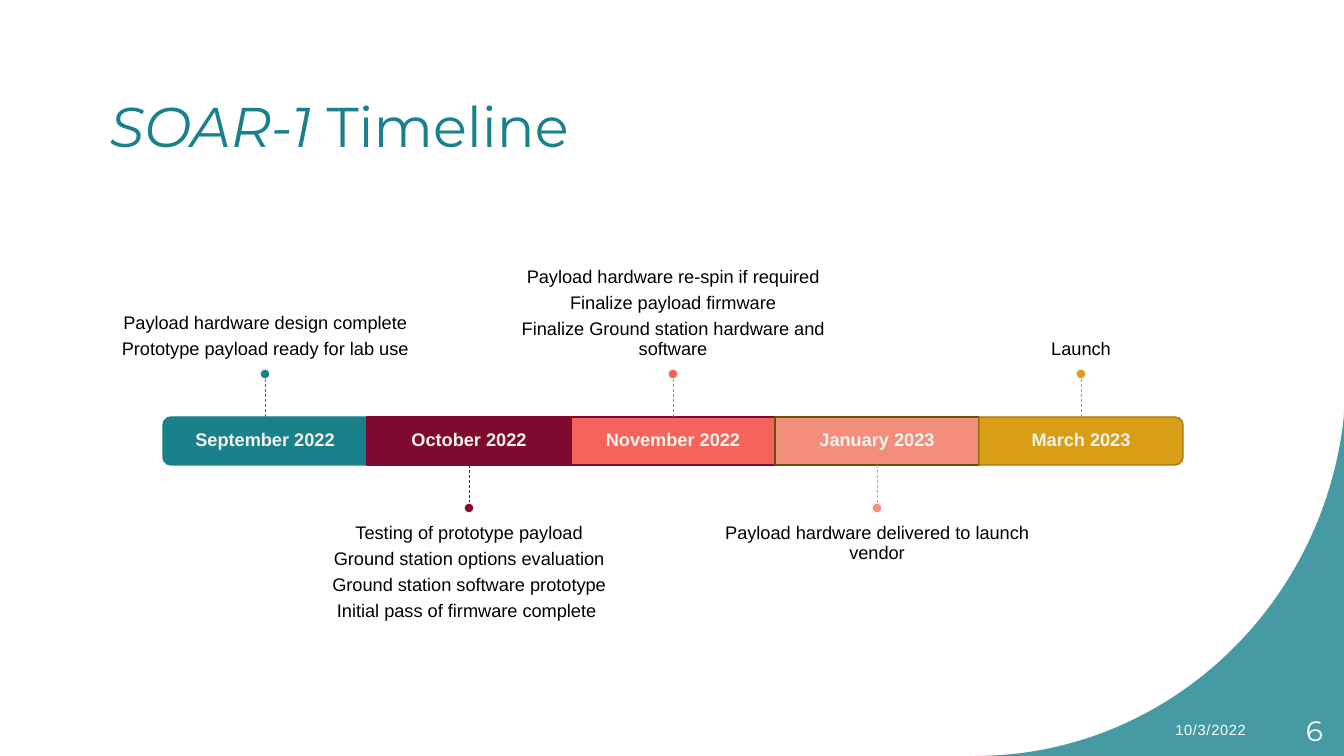
from dataclasses import dataclass

from lxml import etree
from pptx import Presentation
from pptx.dml.color import RGBColor
from pptx.enum.dml import MSO_LINE
from pptx.enum.shapes import MSO_CONNECTOR, MSO_SHAPE
from pptx.enum.text import MSO_ANCHOR, PP_ALIGN
from pptx.oxml.ns import qn
from pptx.util import Pt

EMU_PER_PX = 914400 / 100.8
SLIDE_W, SLIDE_H = 1344, 756

RECT, ROUNDED, DOT = MSO_SHAPE.RECTANGLE, MSO_SHAPE.ROUND_2_SAME_RECTANGLE, MSO_SHAPE.OVAL
STRAIGHT, DASH = MSO_CONNECTOR.STRAIGHT, MSO_LINE.DASH
TOP, MIDDLE, BOTTOM = MSO_ANCHOR.TOP, MSO_ANCHOR.MIDDLE, MSO_ANCHOR.BOTTOM
LEFT, CENTER, RIGHT = PP_ALIGN.LEFT, PP_ALIGN.CENTER, PP_ALIGN.RIGHT

TEAL = RGBColor(0x18, 0x81, 0x8C)
WINE = RGBColor(0x80, 0x0A, 0x2F)
CORAL = RGBColor(0xF6, 0x63, 0x5C)
SALMON = RGBColor(0xF4, 0x8E, 0x7C)
GOLD = RGBColor(0xDA, 0x9D, 0x16)
BROWN = RGBColor(0x6D, 0x4E, 0x0B)
DARK_GOLD = RGBColor(0xA3, 0x76, 0x10)
CREAM = RGBColor(0xF4, 0xF2, 0xEC)
BLACK = RGBColor(0, 0, 0)
WHITE = RGBColor(255, 255, 255)

BAR_LEFT, BAR_TOP, BAR_H, STEP = 163, 417, 48, 204
STEM, DOT_SIZE = 38, 10
NOTE_W, NOTE_H, INSET = 340, 168, 11


@dataclass
class Box:
    x: int
    y: int
    w: int
    h: int


@dataclass
class Style:
    size: float
    color: RGBColor
    font: str = "Arial"
    bold: bool = False
    italic: bool = False


@dataclass
class Milestone:
    month: str
    notes: list[str]
    fill: RGBColor
    outline: RGBColor
    rotation: int = 0


LABEL = Style(13, CREAM, bold=True)
NOTE = Style(13, BLACK)

MILESTONES = [
    Milestone("September 2022", ["Payload hardware design complete",
                                 "Prototype payload ready for lab use"], TEAL, TEAL, 270),
    Milestone("October 2022", ["Testing of prototype payload",
                               "Ground station options evaluation",
                               "Ground station software prototype",
                               "Initial pass of firmware complete "], WINE, WINE),
    Milestone("November 2022", ["Payload hardware re-spin if required",
                                "Finalize payload firmware",
                                "Finalize Ground station hardware and software"], CORAL, WINE),
    Milestone("January 2023", ["Payload hardware delivered to launch vendor"], SALMON, BROWN),
    Milestone("March 2023", ["Launch"], GOLD, DARK_GOLD, 90),
]


def px(n: float) -> int:
    return round(n * EMU_PER_PX)


def place(box: Box) -> tuple[int, int, int, int]:
    return px(box.x), px(box.y), px(box.w), px(box.h)


def add_run(p, text: str, style: Style):
    r = p.add_run()
    r.text = text
    f = r.font
    f.size, f.name = Pt(style.size), style.font
    f.bold, f.italic = style.bold, style.italic
    f.color.rgb = style.color
    return r


def add_frame(s, box: Box, anchor, margins=(10, 5, 10, 5)):
    """Add an empty wrapping text box; margins run left, top, right, bottom."""
    tf = s.shapes.add_textbox(*place(box)).text_frame
    tf.word_wrap = True
    tf.vertical_anchor = anchor
    tf.margin_left, tf.margin_top, tf.margin_right, tf.margin_bottom = map(px, margins)
    return tf


def add_lines(s, box: Box, lines: list[str], style: Style, anchor, margins) -> None:
    tf = add_frame(s, box, anchor, margins)
    for i, line in enumerate(lines):
        p = tf.add_paragraph() if i else tf.paragraphs[0]
        p.alignment = CENTER
        p.line_spacing = 0.9
        p.space_after = Pt(4.5)
        add_run(p, line, style)


def add_filled(s, kind, box: Box, fill: RGBColor, outline: RGBColor):
    sp = s.shapes.add_shape(kind, *place(box))
    sp.shadow.inherit = False
    sp.fill.solid()
    sp.fill.fore_color.rgb = fill
    sp.line.color.rgb = outline
    sp.line.width = Pt(1)
    return sp


def add_stem(s, x: int, y1: int, y2: int, color: RGBColor) -> None:
    line = s.shapes.add_connector(STRAIGHT, px(x), px(y1), px(x), px(y2))
    line.line.color.rgb = color
    line.line.width = Pt(0.5)
    line.line.dash_style = DASH
    etree.SubElement(line._element.spPr, qn("a:effectLst"))


def add_corner(s) -> None:
    """Fill the lower right corner below a Bezier curve, 80 % opaque."""
    curve = [(975, 756), (1166, 756), (1324, 607), (1344, 416)]
    steps = 60
    points = []
    for i in range(1, steps + 1):
        t = i / steps
        weights = ((1 - t) ** 3, 3 * t * (1 - t) ** 2, 3 * t * t * (1 - t), t ** 3)
        points.append(tuple(px(sum(w * c[axis] for w, c in zip(weights, curve)))
                            for axis in (0, 1)))
    points += [(px(SLIDE_W), px(411)), (px(SLIDE_W), px(SLIDE_H))]
    builder = s.shapes.build_freeform(px(975), px(SLIDE_H))
    builder.add_line_segments(points, close=True)
    sp = builder.convert_to_shape()
    sp.shadow.inherit = False
    sp.fill.solid()
    sp.fill.fore_color.rgb = TEAL
    sp.line.fill.background()
    color = sp._element.spPr.find(qn("a:solidFill")).find(qn("a:srgbClr"))
    etree.SubElement(color, qn("a:alpha"), val="80000")


def add_milestone(s, index: int, m: Milestone) -> None:
    segment = Box(BAR_LEFT + index * STEP, BAR_TOP, STEP, BAR_H)
    center = segment.x + STEP // 2
    if m.rotation:
        upright = Box(center - BAR_H // 2, BAR_TOP + (BAR_H - STEP) // 2, BAR_H, STEP)
        add_filled(s, ROUNDED, upright, m.fill, m.outline).rotation = m.rotation
    else:
        add_filled(s, RECT, segment, m.fill, m.outline)
    add_lines(s, segment, [m.month], LABEL, MIDDLE, (INSET,) * 4)

    if index % 2 == 0:
        edge, end = BAR_TOP, BAR_TOP - STEM
        dot_y = end - DOT_SIZE
        note_y, anchor, margins = dot_y + 1 - NOTE_H, BOTTOM, (0, 0, 0, INSET)
    else:
        edge = BAR_TOP + BAR_H
        end = dot_y = edge + STEM
        note_y, anchor, margins = dot_y + DOT_SIZE, TOP, (0, INSET, 0, 0)
    note_box = Box(center - NOTE_W // 2, note_y, NOTE_W, NOTE_H)
    add_lines(s, note_box, m.notes, NOTE, anchor, margins)
    add_stem(s, center, edge, end, m.fill)
    dot_box = Box(center - DOT_SIZE // 2, dot_y, DOT_SIZE, DOT_SIZE)
    add_filled(s, DOT, dot_box, m.fill, CREAM)


def add_footer(s, box: Box, text: str, style: Style):
    p = add_frame(s, box, MIDDLE).paragraphs[0]
    p.alignment = RIGHT
    return add_run(p, text, style)


def main() -> None:
    prs = Presentation()
    prs.slide_width, prs.slide_height = px(SLIDE_W), px(SLIDE_H)
    s = prs.slides.add_slide(prs.slide_layouts[6])
    add_corner(s)

    title = add_frame(s, Box(100, 49, 1093, 146), MIDDLE, (10, 12, 10, 5)).paragraphs[0]
    title.alignment = LEFT
    add_run(title, "SOAR-1 ", Style(40, TEAL, "Montserrat", italic=True))
    add_run(title, "Timeline", Style(40, TEAL, "Montserrat"))

    for index, milestone in enumerate(MILESTONES):
        add_milestone(s, index, milestone)

    date = add_footer(s, Box(1028, 710, 228, 40), "10/3/2022", Style(10.5, WHITE))
    date.font._element.set("spc", "50")
    add_footer(s, Box(1256, 710, 77, 40), "6", Style(20, WHITE, "Montserrat"))
    prs.save("out.pptx")


if __name__ == "__main__":
    main()
